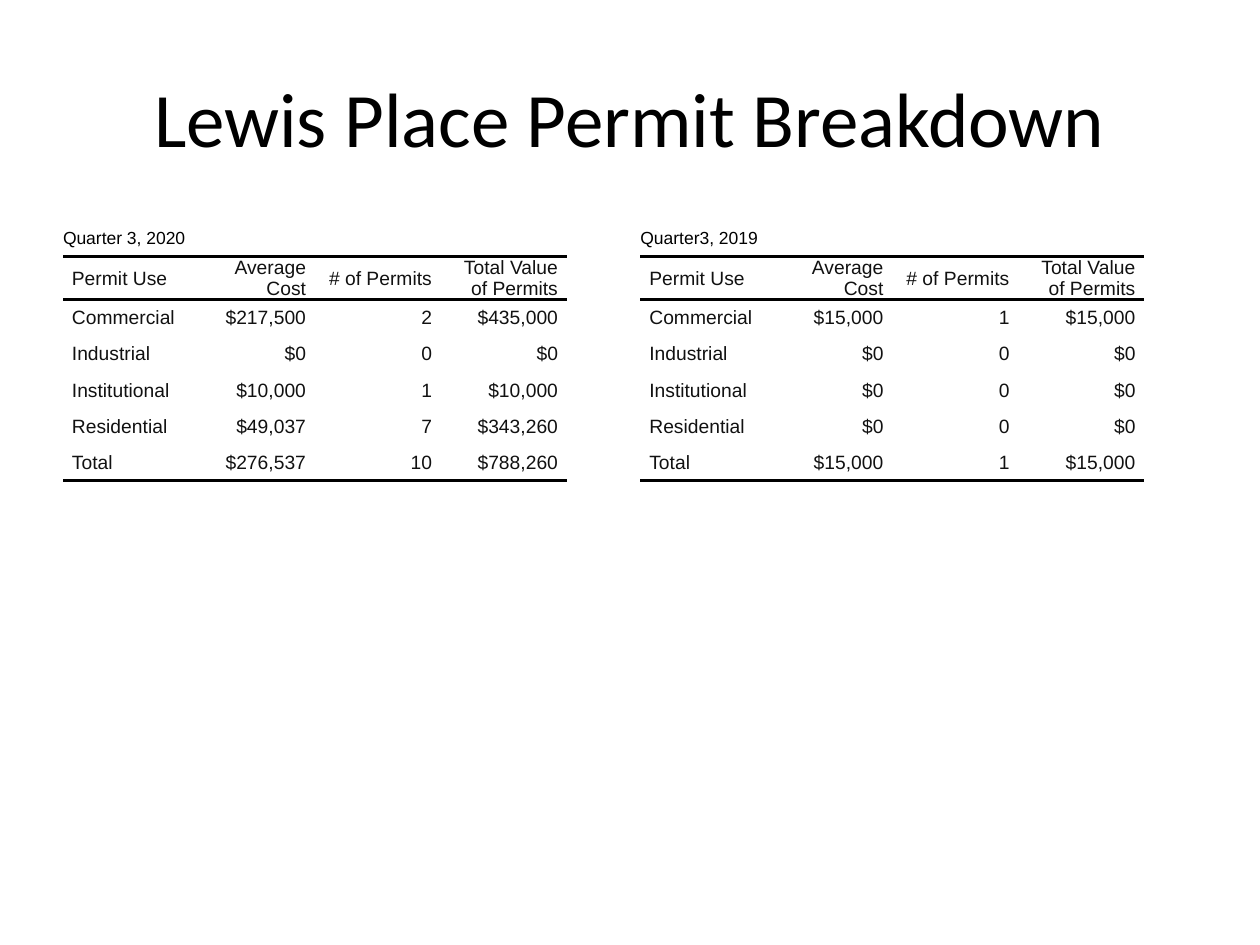
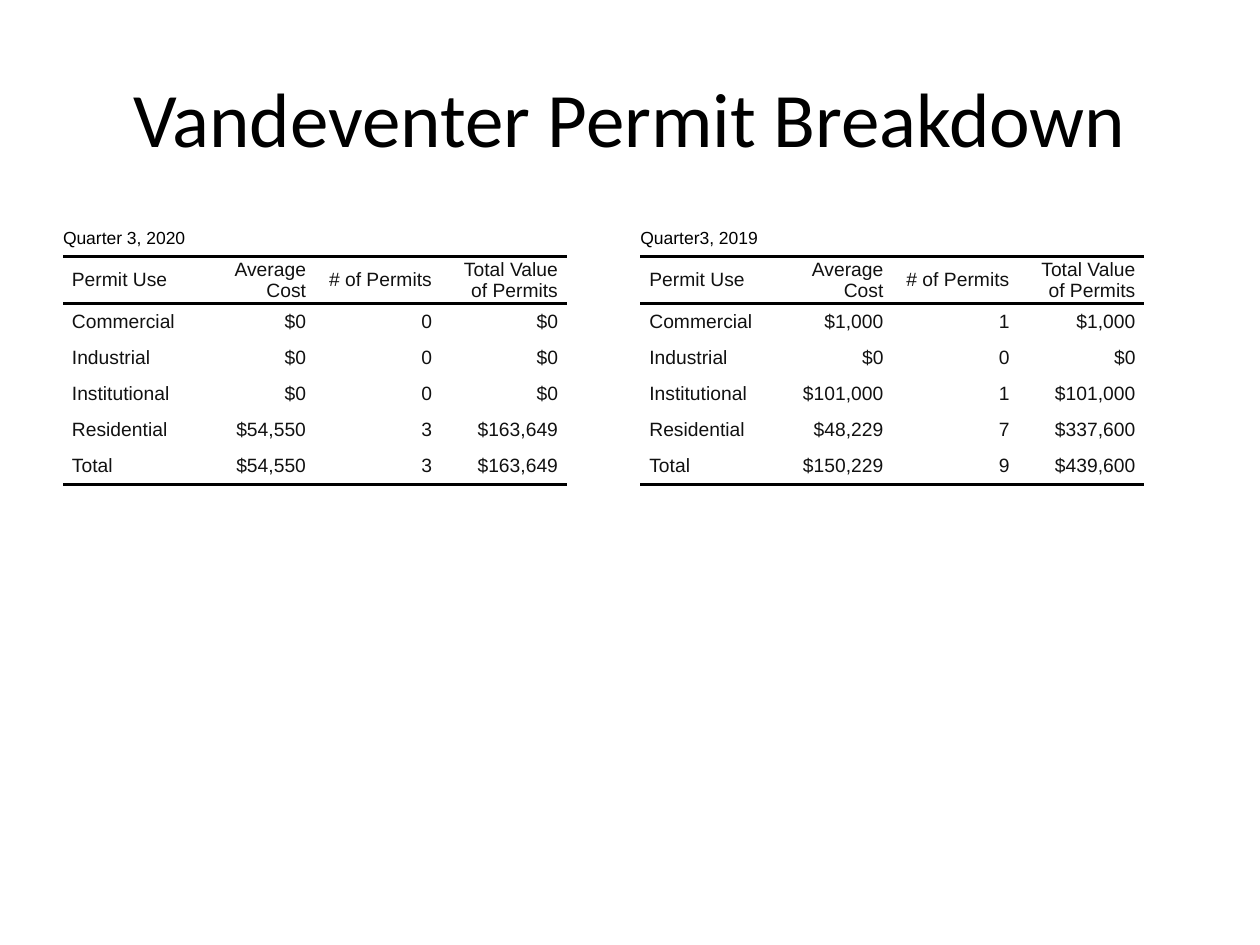
from lxml import etree
from pptx import Presentation
from pptx import util as u
from pptx.dml.color import RGBColor
from pptx.enum import text as t
from pptx.oxml.ns import qn

BLACK = "000000"
INK = "111111"
NO_STYLE = "{2D5ABB26-0587-4C30-8999-92F81FD0307C}"
LEFT_MARGIN = 1.27
TABLE_TOP = 4.45
TABLE_STEP = 11.64
COLUMN_WIDTH = 2.54
ROW_HEIGHT = 0.73
CELL_INDENT = 0.18

QUARTERS = ["Quarter 3, 2020", "Quarter3, 2019"]
HEADINGS = ["Permit Use", "Average Cost", "# of Permits", "Total Value of Permits"]
USES = ["Commercial", "Industrial", "Institutional", "Residential", "Total"]
NONE_ISSUED = ("$0", "0", "$0")
BREAKDOWNS = {
    "Lewis Place Permit Breakdown": [
        [("$217,500", "2", "$435,000"), NONE_ISSUED, ("$10,000", "1", "$10,000"),
         ("$49,037", "7", "$343,260"), ("$276,537", "10", "$788,260")],
        [("$15,000", "1", "$15,000"), NONE_ISSUED, NONE_ISSUED,
         NONE_ISSUED, ("$15,000", "1", "$15,000")],
    ],
    "Vandeventer Permit Breakdown": [
        [NONE_ISSUED, NONE_ISSUED, NONE_ISSUED,
         ("$54,550", "3", "$163,649"), ("$54,550", "3", "$163,649")],
        [("$1,000", "1", "$1,000"), NONE_ISSUED, ("$101,000", "1", "$101,000"),
         ("$48,229", "7", "$337,600"), ("$150,229", "9", "$439,600")],
    ],
}


def colour(hex_code):
    return RGBColor.from_string(hex_code)


def write(frame, words, size=11, font="Arial", ink=INK, align=t.PP_ALIGN.LEFT, indent=0):
    paragraph = frame.paragraphs[0]
    paragraph.alignment = align
    if indent:
        properties = paragraph._p.get_or_add_pPr()
        for side in ("marL", "marR"):
            properties.set(side, str(u.Cm(indent)))
        properties.set("indent", "0")
    run = paragraph.add_run()
    run.text = words
    run.font.size = u.Pt(size)
    run.font.name = font
    run.font.color.rgb = colour(ink)


def add_title(slide, words):
    frame = slide.shapes.add_textbox(
        u.Cm(LEFT_MARGIN), u.Cm(0.76), u.Cm(22.86), u.Cm(3.18)).text_frame
    frame.word_wrap = True
    frame.vertical_anchor = t.MSO_ANCHOR.MIDDLE
    write(frame, words, size=44, font="Calibri", ink=BLACK, align=t.PP_ALIGN.CENTER)


def rule_cell(cell, sides):
    properties = cell._tc.get_or_add_tcPr()
    for position, side in enumerate(sides):
        line = etree.Element(qn(f"a:ln{side}"), w=str(u.Pt(2)))
        fill = etree.SubElement(line, qn("a:solidFill"))
        etree.SubElement(fill, qn("a:srgbClr"), val=BLACK)
        properties.insert(position, line)


def prepare_cell(cell):
    cell.margin_left = cell.margin_right = cell.margin_top = cell.margin_bottom = 0
    cell.vertical_anchor = t.MSO_ANCHOR.MIDDLE
    cell.fill.background()


def add_permit_table(slide, left, quarter, figures):
    records = [HEADINGS] + [[use, *values] for use, values in zip(USES, figures)]
    row_count, column_count = len(records) + 1, len(HEADINGS)
    table = slide.shapes.add_table(
        row_count, column_count, u.Cm(left), u.Cm(TABLE_TOP),
        u.Cm(COLUMN_WIDTH * column_count), u.Cm(ROW_HEIGHT * row_count)).table
    table.first_row = table.horz_banding = False
    table._tbl.tblPr.find(qn("a:tableStyleId")).text = NO_STYLE
    for column in table.columns:
        column.width = u.Cm(COLUMN_WIDTH)
    for row in table.rows:
        row.height = u.Cm(ROW_HEIGHT)
    for cell in table.iter_cells():
        prepare_cell(cell)

    caption = table.cell(0, 0)
    caption.merge(table.cell(0, column_count - 1))
    write(caption.text_frame, quarter, size=10, ink=BLACK)

    ruled_sides = {1: "TB", len(records): "B"}
    for row, record in enumerate(records, 1):
        for column, words in enumerate(record):
            cell = table.cell(row, column)
            align = t.PP_ALIGN.RIGHT if column else t.PP_ALIGN.LEFT
            write(cell.text_frame, words, align=align, indent=CELL_INDENT)
            rule_cell(cell, ruled_sides.get(row, ""))


def main():
    deck = Presentation()
    deck.slide_width, deck.slide_height = u.Cm(25.4), u.Cm(19.05)
    for title, quarterly_figures in BREAKDOWNS.items():
        slide = deck.slides.add_slide(deck.slide_layouts[6])
        for index, (quarter, figures) in enumerate(zip(QUARTERS, quarterly_figures)):
            add_permit_table(slide, LEFT_MARGIN + index * TABLE_STEP, quarter, figures)
        add_title(slide, title)
    deck.save("out.pptx")


if __name__ == "__main__":
    main()
